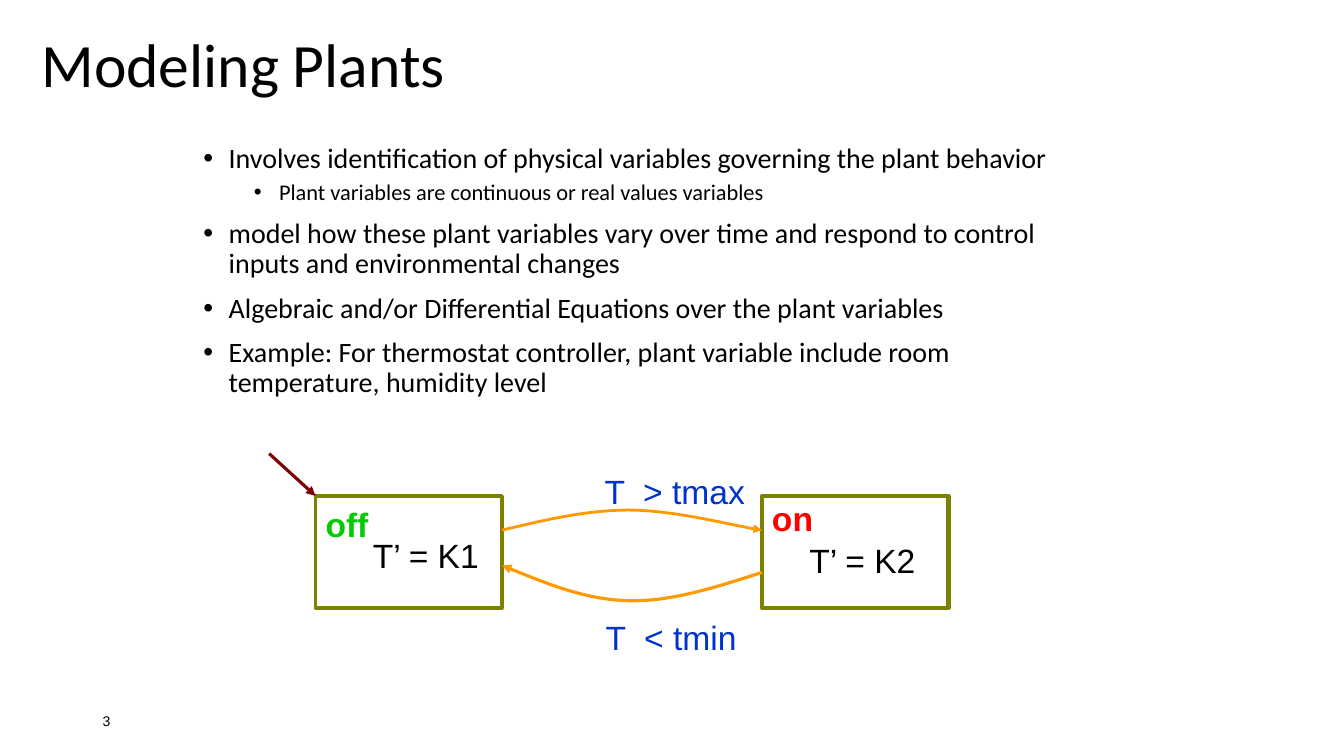
from lxml.etree import SubElement
from pptx import Presentation
from pptx.dml.color import RGBColor
from pptx.enum.shapes import MSO_CONNECTOR, MSO_SHAPE
from pptx.enum.text import MSO_ANCHOR, MSO_AUTO_SIZE, PP_ALIGN
from pptx.oxml.ns import qn
from pptx.util import Inches, Pt

BLACK = RGBColor(0x00, 0x00, 0x00)
OLIVE = RGBColor(0x80, 0x80, 0x00)
MAROON = RGBColor(0x80, 0x00, 0x00)
ORANGE = RGBColor(0xFF, 0x99, 0x00)
BLUE = RGBColor(0x00, 0x33, 0xCC)
RED = RGBColor(0xFF, 0x00, 0x00)
GREEN = RGBColor(0x00, 0xCC, 0x00)


class PlantSlide:
    """Places elements by percent of the slide's width and height."""
    heading_font = "Calibri"
    label_font = "Arial"

    def __init__(self, deck):
        self.deck = deck
        self.page = deck.slides.add_slide(deck.slide_layouts[5])
        self.shapes = self.page.shapes

    def across(self, percent):
        return round(self.deck.slide_width * percent / 100)

    def down(self, percent):
        return round(self.deck.slide_height * percent / 100)

    def area(self, left, top, width, height):
        return (self.across(left), self.down(top),
                self.across(width), self.down(height))

    def add_span(self, para, text, size, font, color=BLACK, bold=False):
        span = para.add_run()
        span.text = text
        span.font.name = font
        span.font.size = Pt(size)
        span.font.color.rgb = color
        span.font.bold = bold

    def title(self, text, *area):
        box = self.shapes.title
        box.left, box.top, box.width, box.height = self.area(*area)
        frame = box.text_frame
        frame.auto_size = MSO_AUTO_SIZE.NONE
        frame.vertical_anchor = MSO_ANCHOR.MIDDLE
        para = frame.paragraphs[0]
        para.alignment = PP_ALIGN.LEFT
        para.line_spacing = 0.9
        self.add_span(para, text, 44, self.heading_font)

    def bullets(self, items, *area):
        frame = self.shapes.add_textbox(*self.area(*area)).text_frame
        frame.word_wrap = True
        for index, (level, text) in enumerate(items):
            para = frame.paragraphs[0] if index == 0 else frame.add_paragraph()
            props = para._p.get_or_add_pPr()
            props.set("marL", str(Inches(0.25 + 0.5 * level)))
            props.set("indent", str(Inches(-0.25)))
            SubElement(props, qn("a:buFont"), typeface="Arial")
            SubElement(props, qn("a:buChar"), char="•")
            para.level = level
            para.line_spacing = 0.9
            if index:
                para.space_before = Pt(5 if level else 10)
            self.add_span(para, text, 16 if level else 20, self.heading_font)

    def label(self, text, left, top, width, height=6.8, size=24,
              color=BLACK, bold=False, anchor=MSO_ANCHOR.TOP):
        box = self.shapes.add_textbox(*self.area(left, top, width, height))
        frame = box.text_frame
        frame.word_wrap = False
        frame.vertical_anchor = anchor
        self.add_span(frame.paragraphs[0], text, size, self.label_font, color, bold)

    def state(self, left, top, width, height, weight):
        box = self.shapes.add_shape(MSO_SHAPE.RECTANGLE,
                                    *self.area(left, top, width, height))
        box.shadow.inherit = False
        box.fill.background()
        self.stroke(box, OLIVE, weight)

    def stroke(self, shape, color, weight, arrow=None):
        shape.line.color.rgb = color
        shape.line.width = Pt(weight)
        if arrow:
            outline = shape._element.spPr.find(qn("a:ln"))
            SubElement(outline, qn(f"a:{arrow}"), type="triangle")

    def arrow(self, start, end, color, weight):
        line = self.shapes.add_connector(
            MSO_CONNECTOR.STRAIGHT, self.across(start[0]), self.down(start[1]),
            self.across(end[0]), self.down(end[1]))
        self.stroke(line, color, weight, "tailEnd")
        SubElement(line._element.spPr, qn("a:effectLst"))

    def curve(self, points, weight, arrow):
        """Draws cubic curves: a start, then two handles and an end each."""
        start, *rest = [(self.across(x), self.down(y)) for x, y in points]
        builder = self.shapes.build_freeform(*start)
        builder.add_line_segments(rest, close=False)
        shape = builder.convert_to_shape()
        outline = next(shape._element.iter(qn("a:path")))
        segments = outline.findall(qn("a:lnTo"))
        for first in range(0, len(segments), 3):
            bend = SubElement(outline, qn("a:cubicBezTo"))
            for segment in segments[first:first + 3]:
                bend.append(segment[0])
                outline.remove(segment)
        shape.shadow.inherit = False
        shape.fill.background()
        self.stroke(shape, ORANGE, weight, arrow)


def main():
    deck = Presentation()
    deck.slide_width, deck.slide_height = Inches(13.33), Inches(7.5)
    slide = PlantSlide(deck)

    # Title, bullets and page number
    slide.title("Modeling Plants", 2.33, 2.27, 63.75, 13.33)
    slide.bullets([
        (0, "Involves identification of physical variables governing the plant behavior"),
        (1, "Plant variables are continuous or real values variables"),
        (0, "model how these plant variables vary over time and respond to control "
            "inputs and environmental changes"),
        (0, "Algebraic and/or Differential Equations over the plant variables"),
        (0, "Example: For thermostat controller, plant variable include room "
            "temperature, humidity level"),
    ], 14.4, 18.4, 67.5, 37.2)
    slide.label("3", 6.9, 92.67, 22.5, 5.33, size=10, anchor=MSO_ANCHOR.MIDDLE)

    # States and the initial arrow
    off_left, on_left, state_top, state_width = 23.48, 56.7, 65.6, 13.88
    for left, weight in ((off_left, 2.5), (on_left, 3)):
        slide.state(left, state_top, state_width, 14.8, weight)
    slide.arrow((20.03, 60), (off_left, state_top), MAROON, 2.25)

    # Transitions between the states
    off_right = off_left + state_width
    slide.curve([(off_right, 70.13), (40.5, 68.8), (43.58, 67.47), (46.8, 67.47),
                 (50.03, 67.47), (55.05, 69.73), (on_left, 70.13)], 2, "tailEnd")
    slide.curve([(off_right, 74.8), (40.5, 77.07), (43.58, 79.33), (46.8, 79.47),
                 (50.03, 79.6), (53.4, 77.6), (on_left, 75.73)], 2.25, "headEnd")

    # Guards, state names and equations
    slide.label("T  > tmax", 44.25, 61.6, 12, color=BLUE)
    slide.label("T  < tmin", 44.33, 80.93, 11.33, color=BLUE)
    slide.label("on", on_left, 65.2, 4.58, color=RED, bold=True)
    slide.label("off", off_left, 66, 4.73, color=GREEN, bold=True)
    slide.label("T’ = K1", 27, 70.13, 9.45)
    slide.label("T’ = K2", 59.48, 70.8, 9.45)

    deck.save("out.pptx")


if __name__ == "__main__":
    main()
